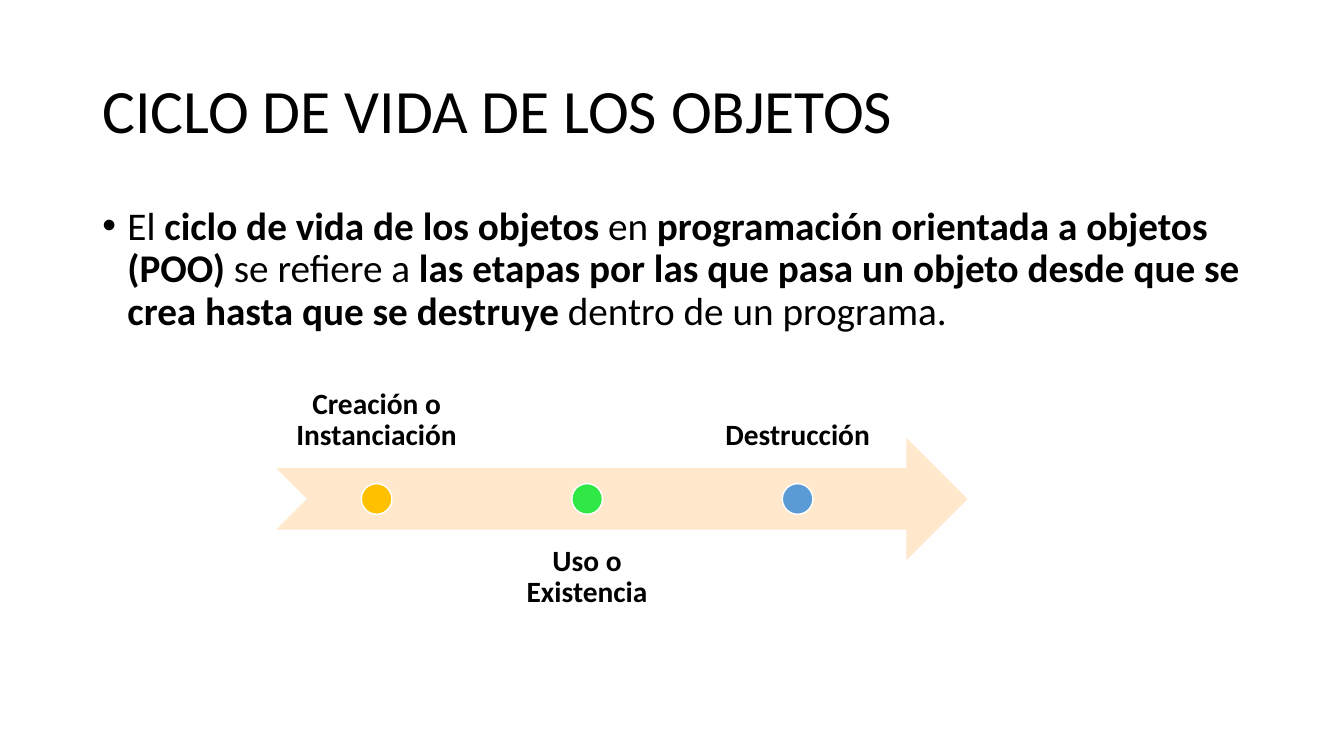
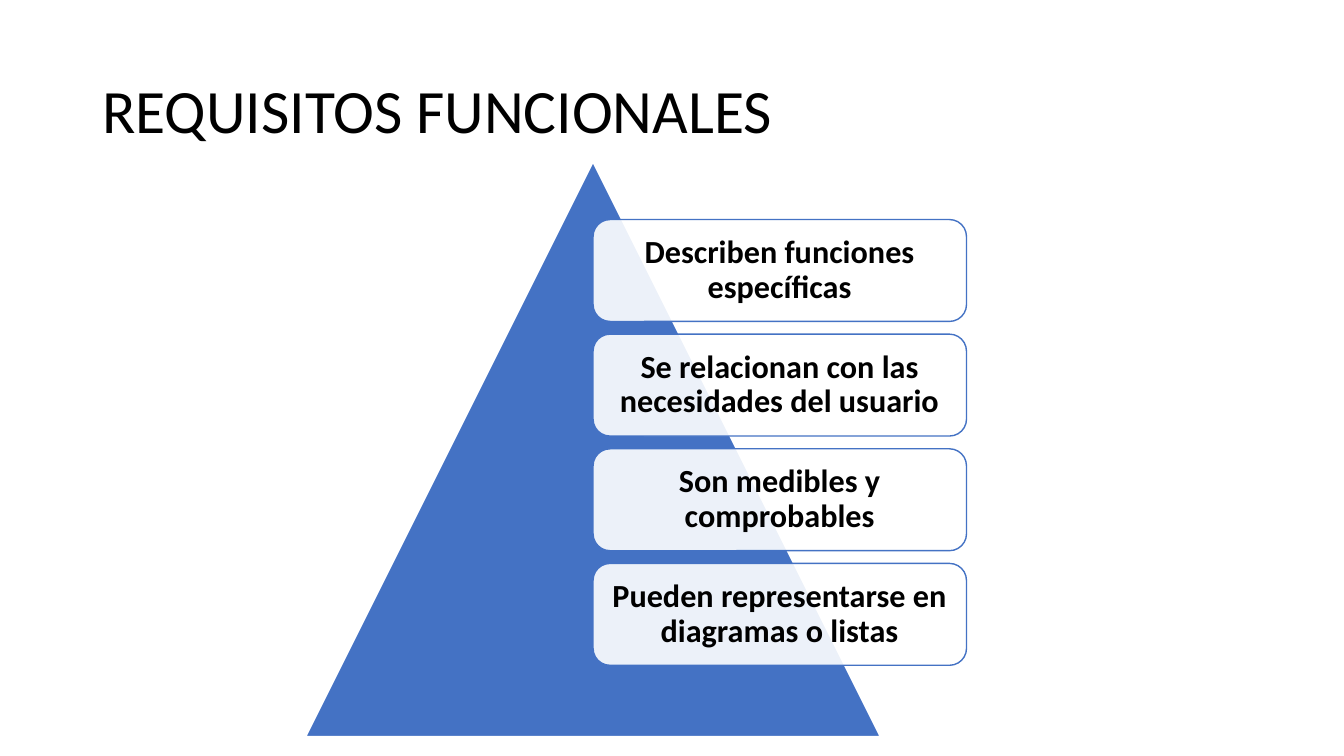
import dataclasses
import typing

import lxml.etree
import pptx
import pptx.dml.color
import pptx.enum.shapes
import pptx.enum.text
import pptx.oxml.ns
import pptx.util

COLS, ROWS = 160, 90
CELL = pptx.util.Inches(1) // 12
COLORS = {
    "text": "000000", "white": "FFFFFF", "arrow": "FFE8CC", "gold": "FFC000",
    "green": "30E845", "sky": "5B9BD5", "blue": "4472C4",
}
FORMS = pptx.enum.shapes.MSO_SHAPE
ANCHOR = pptx.enum.text.MSO_ANCHOR
ALIGN = pptx.enum.text.PP_ALIGN


@dataclasses.dataclass(frozen=True)
class Box:
    """Place and size in grid cells."""
    left: float
    top: float
    wide: float
    high: float

    def place(self) -> tuple[int, ...]:
        return tuple(round(cells * CELL) for cells in dataclasses.astuple(self))


@dataclasses.dataclass(frozen=True)
class Style:
    size: float
    bold: bool = False
    align: typing.Any = ALIGN.LEFT
    anchor: typing.Any = ANCHOR.TOP
    side: float = 0.1
    edge: float = 0.05


@dataclasses.dataclass(frozen=True)
class Stage:
    text: str
    color: str
    above: bool


Part = tuple[str, bool]

TITLE = Style(44, anchor=ANCHOR.MIDDLE)
BODY = Style(28)
ABOVE = Style(21, True, ALIGN.CENTER, ANCHOR.BOTTOM, 0.16, 0.16)
BELOW = dataclasses.replace(ABOVE, anchor=ANCHOR.TOP)
CARD = Style(23, True, ALIGN.CENTER, ANCHOR.MIDDLE, 0.1, 0.1)

HEAD = Box(11, 4.8, 138, 17.4)
INTRO = Box(11, 24, 138, 19.5)
ARROW = Box(32.9, 52.1, 82.3, 14.6)
PEAK = Box(36.4, 19.3, 68.4, 68.4)

PARTS: list[Part] = [
    ("El ", False),
    ("ciclo de vida de los objetos", True),
    (" en ", False),
    ("programación orientada a objetos (POO)", True),
    (" se refiere a ", False),
    ("las etapas por las que pasa un objeto desde que se crea hasta que se destruye", True),
    (" dentro de un programa.", False),
]
STAGES = [
    Stage("Creación o Instanciación", "gold", True),
    Stage("Uso o Existencia", "green", False),
    Stage("Destrucción", "sky", True),
]
NEEDS = [
    "Describen funciones específicas",
    "Se relacionan con las necesidades del usuario",
    "Son medibles y comprobables",
    "Pueden representarse en diagramas o listas",
]


def apply(target: typing.Any, values: dict[str, typing.Any]) -> None:
    for name, value in values.items():
        setattr(target, name, value)


def tint(name: str) -> pptx.dml.color.RGBColor:
    return pptx.dml.color.RGBColor.from_string(COLORS[name])


def bullet(para: typing.Any) -> None:
    props = para._p.get_or_add_pPr()
    indent = pptx.util.Inches(0.25)
    props.set("marL", str(indent))
    props.set("indent", str(-indent))
    for tag, key, value in (("a:buFont", "typeface", "Arial"), ("a:buChar", "char", "•")):
        lxml.etree.SubElement(props, pptx.oxml.ns.qn(tag)).set(key, value)


def write(shape: typing.Any, parts: list[Part], style: Style, dot: bool = False) -> None:
    side, edge = pptx.util.Inches(style.side), pptx.util.Inches(style.edge)
    frame = shape.text_frame
    apply(frame, {
        "word_wrap": True, "auto_size": pptx.enum.text.MSO_AUTO_SIZE.NONE,
        "vertical_anchor": style.anchor, "margin_left": side, "margin_right": side,
        "margin_top": edge, "margin_bottom": edge,
    })
    para = frame.paragraphs[0]
    apply(para, {"alignment": style.align, "line_spacing": 0.9})
    if dot:
        bullet(para)
    for text, bold in parts:
        run = para.add_run()
        run.text = text
        apply(run.font, {"name": "Calibri", "size": pptx.util.Pt(style.size), "bold": bold})
        run.font.color.rgb = tint("text")


def label(slide: typing.Any, box: Box, parts: list[Part], style: Style,
          dot: bool = False) -> None:
    write(slide.shapes.add_textbox(*box.place()), parts, style, dot)


def draw(slide: typing.Any, form: typing.Any, box: Box, fill: str,
         line: str | None = None, alpha: int = 100) -> typing.Any:
    """Add a preset shape; alpha is its opacity in percent."""
    shape = slide.shapes.add_shape(form, *box.place())
    shape.shadow.inherit = False
    shape.fill.solid()
    shape.fill.fore_color.rgb = tint(fill)
    if alpha < 100:
        name = pptx.oxml.ns.qn
        color = shape._element.spPr.find(name("a:solidFill")).find(name("a:srgbClr"))
        lxml.etree.SubElement(color, name("a:alpha")).set("val", str(alpha * 1000))
    if line:
        shape.line.color.rgb = tint(line)
        shape.line.width = pptx.util.Pt(1)
    else:
        shape.line.fill.background()
    return shape


def start(deck: typing.Any, text: str) -> typing.Any:
    """Add a slide with its title."""
    slide = deck.slides.add_slide(deck.slide_layouts.get_by_name("Title Only"))
    title = slide.shapes.title
    apply(title, dict(zip(("left", "top", "width", "height"), HEAD.place())))
    write(title, [(text, TITLE.bold)], TITLE)
    return slide


def cycle(deck: typing.Any) -> None:
    slide = start(deck, "CICLO DE VIDA DE LOS OBJETOS")
    label(slide, INTRO, PARTS, BODY, dot=True)
    draw(slide, FORMS.NOTCHED_RIGHT_ARROW, ARROW, "arrow")
    wide, high = ARROW.wide * 0.29, ARROW.high
    size = high / 4
    for index, stage in enumerate(STAGES):
        left = ARROW.left + index * wide * 1.05
        shift = -0.75 if stage.above else 0.75
        style = ABOVE if stage.above else BELOW
        area = Box(left, ARROW.top + shift * high, wide, high)
        label(slide, area, [(stage.text, style.bold)], style)
        spot = Box(left + (wide - size) / 2, ARROW.top + (high - size) / 2, size, size)
        draw(slide, FORMS.OVAL, spot, stage.color, "white")


def needs(deck: typing.Any) -> None:
    slide = start(deck, "REQUISITOS FUNCIONALES")
    draw(slide, FORMS.ISOSCELES_TRIANGLE, PEAK, "blue", "white")
    high = 12.13
    for index, text in enumerate(NEEDS):
        top = PEAK.top + PEAK.high / 10 + index * high * 9 / 8
        area = Box(PEAK.left + PEAK.wide / 2, top, PEAK.wide * 0.65, high)
        card = draw(slide, FORMS.ROUNDED_RECTANGLE, area, "white", "blue", alpha=90)
        write(card, [(text, CARD.bold)], CARD)


def main() -> None:
    deck = pptx.Presentation()
    apply(deck, {"slide_width": COLS * CELL, "slide_height": ROWS * CELL})
    cycle(deck)
    needs(deck)
    deck.save("out.pptx")


if __name__ == "__main__":
    main()
